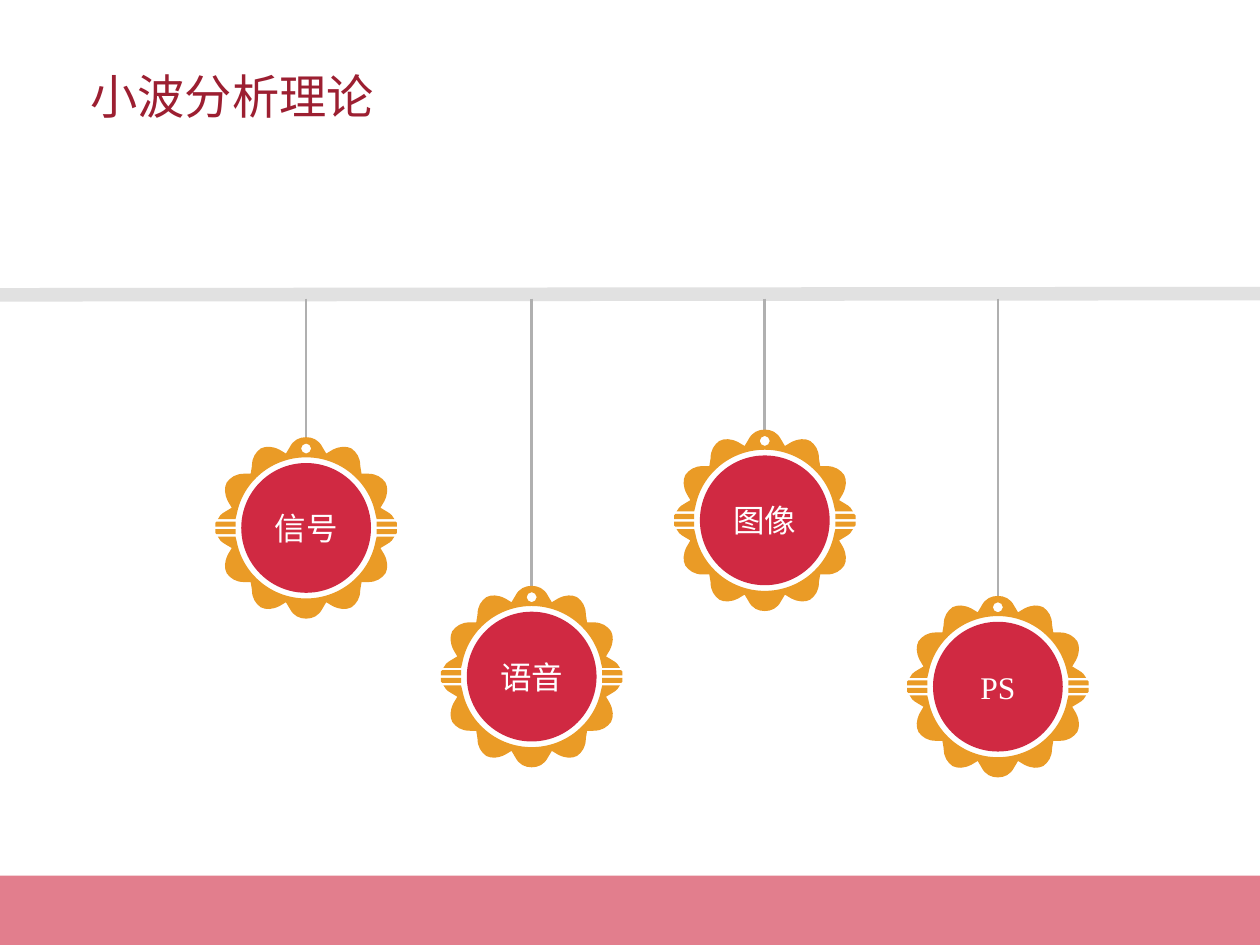
import pptx
import pptx.dml.color
import pptx.enum.shapes
import pptx.enum.text
import pptx.oxml.ns
import pptx.util
from lxml import etree
from pptx.util import Inches

FONT = "Times New Roman"
RED, ORANGE, WHITE = "D02942", "EA9B26", "FFFFFF"
DISC_RADIUS, FLOWER_RADIUS = 0.515, 0.72

HALF_CROWN = [
    [(0, -0.72)],
    [(0.05, -0.72), (0.10, -0.70), (0.13, -0.64)],
    [(0.16, -0.59)],
    [(0.21, -0.62)],
    [(0.27, -0.65), (0.32, -0.65), (0.36, -0.63)],
    [(0.40, -0.60), (0.43, -0.56), (0.43, -0.49)],
    [(0.44, -0.43)],
    [(0.49, -0.43)],
    [(0.56, -0.43), (0.60, -0.40), (0.63, -0.36)],
    [(0.65, -0.32), (0.65, -0.27), (0.62, -0.21)],
    [(0.59, -0.16)],
    [(0.64, -0.13)],
    [(0.66, -0.12), (0.67, -0.11), (0.68, -0.10)],
    [(0.70, -0.07)],
    [(0.56, -0.07)],
    [(0.55, -0.11)],
    [(0.50, -0.37), (0.27, -0.56), (0, -0.56)],
]
SIDE_BAR = [
    [(0.56, -0.05)], [(0.71, -0.05)], [(0.72, -0.04)], [(0.72, -0.01)], [(0.56, -0.01)],
]
EYELET = [
    [(0, -0.67)],
    [(-0.02, -0.67), (-0.04, -0.65), (-0.04, -0.63)],
    [(-0.04, -0.61), (-0.02, -0.59), (0, -0.59)],
    [(0.02, -0.59), (0.04, -0.61), (0.04, -0.63)],
    [(0.04, -0.65), (0.02, -0.67), (0, -0.67)],
]

TAGS = [
    ("信号", 2.43, 4.19),
    ("语音", 4.22, 5.37),
    ("图像", 6.07, 4.13),
    ("PS", 7.92, 5.45),
]


def rgb(hex_colour):
    return pptx.dml.color.RGBColor.from_string(hex_colour)


def add_child(parent, tag, **attributes):
    return etree.SubElement(parent, pptx.oxml.ns.qn(tag), **attributes)


def set_opacity(element, percent):
    for colour in element.iter(pptx.oxml.ns.qn("a:srgbClr")):
        add_child(colour, "a:alpha", val=str(percent * 1000))


def paint(shape, colour):
    shape.shadow.inherit = False
    shape.fill.solid()
    shape.fill.fore_color.rgb = rgb(colour)
    shape.line.fill.background()


def write(frame, text, size, colour):
    frame.text = text
    font = frame.paragraphs[0].runs[0].font
    font.name = FONT
    font.size = pptx.util.Pt(size)
    font.color.rgb = rgb(colour)


def add_block(slide, kind, left, top, width, height, colour):
    block = slide.shapes.add_shape(
        kind, Inches(left), Inches(top), Inches(width), Inches(height))
    paint(block, colour)
    return block


def add_line(slide, start, end, colour, width):
    line = slide.shapes.add_connector(
        pptx.enum.shapes.MSO_CONNECTOR.STRAIGHT,
        *(Inches(value) for value in (*start, *end)))
    line.line.color.rgb = rgb(colour)
    line.line.width = pptx.util.Pt(width)
    add_child(line.element.spPr, "a:effectLst")
    return line


def mirror(contour, x_sign, y_sign):
    return [[(x * x_sign, y * y_sign) for x, y in segment] for segment in contour]


def backwards(contour):
    points = [point for segment in contour for point in segment][::-1]
    reversed_contour = [points[:1]]
    position = 1
    for segment in contour[:0:-1]:
        reversed_contour.append(points[position:position + len(segment)])
        position += len(segment)
    return reversed_contour


def flower_contours():
    crown = HALF_CROWN + backwards(mirror(HALF_CROWN, -1, 1))[1:]
    bars = [mirror(SIDE_BAR, x, y) for x in (1, -1) for y in (1, -1)]
    return [crown, mirror(crown, 1, -1), *bars, EYELET]


def draw_contour(outline, contour):
    for index, segment in enumerate(contour):
        tag = "a:cubicBezTo" if len(segment) == 3 else "a:lnTo"
        command = add_child(outline, tag if index else "a:moveTo")
        for x, y in segment:
            add_child(command, "a:pt",
                      x=str(Inches(FLOWER_RADIUS + x)),
                      y=str(Inches(FLOWER_RADIUS + y)))
    add_child(outline, "a:close")


def add_flower(slide, centre_x, centre_y):
    left, top = Inches(centre_x - FLOWER_RADIUS), Inches(centre_y - FLOWER_RADIUS)
    size = Inches(2 * FLOWER_RADIUS)
    builder = slide.shapes.build_freeform(left, top)
    builder.add_line_segments([(left + size, top), (left + size, top + size)])
    flower = builder.convert_to_shape()
    outline = next(flower.element.iter(pptx.oxml.ns.qn("a:path")))
    for command in list(outline):
        outline.remove(command)
    for contour in flower_contours():
        draw_contour(outline, contour)
    paint(flower, ORANGE)


def add_tag(slide, label, centre_x, centre_y):
    add_line(slide, (centre_x, 2.37), (centre_x, centre_y - 0.69), "B0B0B0", 1.5)
    add_flower(slide, centre_x, centre_y)
    disc = add_block(
        slide, pptx.enum.shapes.MSO_SHAPE.OVAL,
        centre_x - DISC_RADIUS, centre_y - DISC_RADIUS,
        2 * DISC_RADIUS, 2 * DISC_RADIUS, RED)
    frame = disc.text_frame
    frame.margin_left = frame.margin_right = frame.margin_top = frame.margin_bottom = 0
    frame.word_wrap = False
    frame.vertical_anchor = pptx.enum.text.MSO_ANCHOR.MIDDLE
    write(frame, label, 18, WHITE)
    frame.paragraphs[0].alignment = pptx.enum.text.PP_ALIGN.CENTER


def add_title(slide, text):
    title = slide.shapes.add_textbox(
        Inches(0.62), Inches(0.21), Inches(8.76), Inches(0.83))
    frame = title.text_frame
    frame.word_wrap = True
    frame.vertical_anchor = pptx.enum.text.MSO_ANCHOR.BOTTOM
    write(frame, text, 27, "9C1F31")
    frame.paragraphs[0].line_spacing = 0.9


def main():
    deck = pptx.Presentation()
    deck.slide_width, deck.slide_height = Inches(10), Inches(7.5)
    slide = deck.slides.add_slide(deck.slide_layouts[6])
    footer = add_block(
        slide, pptx.enum.shapes.MSO_SHAPE.RECTANGLE, 0, 6.95, 10, 0.55, RED)
    set_opacity(footer.element.spPr, 60)
    add_title(slide, "小波分析理论")
    for label, centre_x, centre_y in TAGS:
        add_tag(slide, label, centre_x, centre_y)
    rail = add_line(slide, (0, 2.34), (10, 2.33), "AFAFAF", 7.75)
    set_opacity(rail.element.spPr, 36)
    deck.save("out.pptx")


if __name__ == "__main__":
    main()
